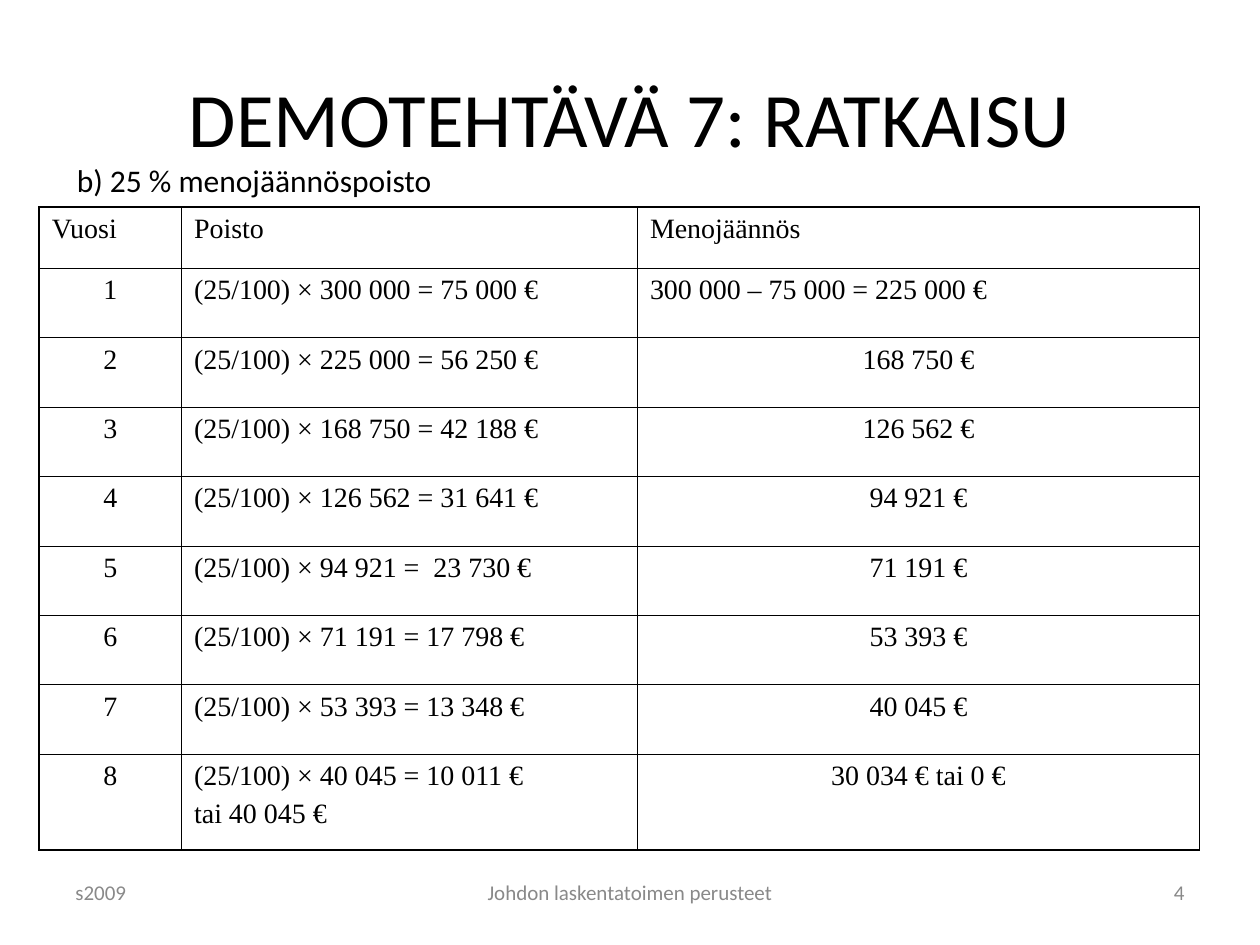
from lxml import etree
from pptx import Presentation
from pptx.dml.color import RGBColor
from pptx.enum.text import MSO_ANCHOR, PP_ALIGN
from pptx.oxml.ns import qn
from pptx.util import Cm, Pt

LEFT, CENTER, RIGHT = PP_ALIGN.LEFT, PP_ALIGN.CENTER, PP_ALIGN.RIGHT
TOP, MIDDLE = MSO_ANCHOR.TOP, MSO_ANCHOR.MIDDLE
COLORS = {"text": "000000", "border": "000000", "footer": "898989"}
THIN, THICK = Pt(0.45), Pt(1.08)

COLUMN_WIDTHS = (2.87, 9.19, 11.33)
HEADER_HEIGHT, ROW_HEIGHT, LAST_HEIGHT = 1.24, 1.4, 1.93
ROWS = [
    ("Vuosi", "Poisto", "Menojäännös"),
    ("1", "(25/100) × 300 000 = 75 000 €", "300 000 – 75 000 = 225 000 €"),
    ("2", "(25/100) × 225 000 = 56 250 €", "168 750 €"),
    ("3", "(25/100) × 168 750 = 42 188 €", "126 562 €"),
    ("4", "(25/100) × 126 562 = 31 641 €", "94 921 €"),
    ("5", "(25/100) × 94 921 =  23 730 €", "71 191 €"),
    ("6", "(25/100) × 71 191 = 17 798 €", "53 393 €"),
    ("7", "(25/100) × 53 393 = 13 348 €", "40 045 €"),
    ("8", "(25/100) × 40 045 = 10 011 €\ntai 40 045 €", "30 034 € tai 0 €"),
]


def style_paragraph(para, font, size, color, align):
    para.alignment = align
    para.font.name = font
    para.font.size = Pt(size)
    para.font.color.rgb = RGBColor.from_string(COLORS[color])


def add_text(page, box, text, size, color="text", align=LEFT, anchor=MIDDLE):
    frame = page.shapes.add_textbox(*map(Cm, box)).text_frame
    frame.word_wrap = True
    frame.vertical_anchor = anchor
    para = frame.paragraphs[0]
    para.text = text
    style_paragraph(para, "Calibri", size, color, align)
    return para


def add_heading(page, left, top, width):
    add_text(page, (left, top, width, 3.18), "DEMOTEHTÄVÄ 7: RATKAISU", 44, align=CENTER)
    subtitle = add_text(page, (left + 0.03, top + 2.57, 8.43, 0.89),
                        "b) 25 % menojäännöspoisto", 18, anchor=TOP)
    subtitle.line_spacing = 0.7
    subtitle.space_before = Pt(4.5)


def set_borders(cell, widths):
    """Draw the cell's left, right, top and bottom lines."""
    properties = cell._tc.get_or_add_tcPr()
    for side, width in zip("LRTB", widths):
        line = etree.SubElement(properties, qn(f"a:ln{side}"), w=str(width))
        fill = etree.SubElement(line, qn("a:solidFill"))
        etree.SubElement(fill, qn("a:srgbClr"), val=COLORS["border"])


def add_depreciation_table(page, left, top):
    last_row, last_column = len(ROWS) - 1, len(COLUMN_WIDTHS) - 1
    heights = [HEADER_HEIGHT] + [ROW_HEIGHT] * (last_row - 1) + [LAST_HEIGHT]
    box = (left, top, sum(COLUMN_WIDTHS), sum(heights))
    table = page.shapes.add_table(len(ROWS), len(COLUMN_WIDTHS), *map(Cm, box)).table
    table.first_row = table.horz_banding = False
    for column, width in zip(table.columns, COLUMN_WIDTHS):
        column.width = Cm(width)
    for row, height in zip(table.rows, heights):
        row.height = Cm(height)

    for r, texts in enumerate(ROWS):
        for c, text in enumerate(texts):
            cell = table.cell(r, c)
            # Thick lines on the outer edge only
            outer = (c == 0, c == last_column, r == 0, r == last_row)
            set_borders(cell, [THICK if edge else THIN for edge in outer])
            cell.fill.background()
            cell.text = text
            # Years and plain balances are centred, headings and formulas are not
            align = LEFT if r == 0 or c == 1 or "=" in text else CENTER
            for para in cell.text_frame.paragraphs:
                style_paragraph(para, "Times New Roman", 16, "text", align)
                para.space_before = Pt(4)


def add_footer(page, left, top, width):
    height, side, middle = 1.27, 5.92, 8.05
    parts = [
        ("s2009", left, side, LEFT),
        ("Johdon laskentatoimen perusteet", left + (width - middle) / 2, middle, CENTER),
        ("4", left + width - side, side, RIGHT),
    ]
    for text, x, part_width, align in parts:
        add_text(page, (x, top, part_width, height), text, 12, "footer", align)


def main():
    deck = Presentation()
    deck.slide_width, deck.slide_height = Cm(25.4), Cm(19.05)
    page = deck.slides.add_slide(deck.slide_layouts[6])
    add_heading(page, 1.27, 0.76, 22.86)
    add_depreciation_table(page, 0.79, 4.17)
    add_footer(page, 1.27, 17.35, 22.86)
    deck.save("out.pptx")


if __name__ == "__main__":
    main()
